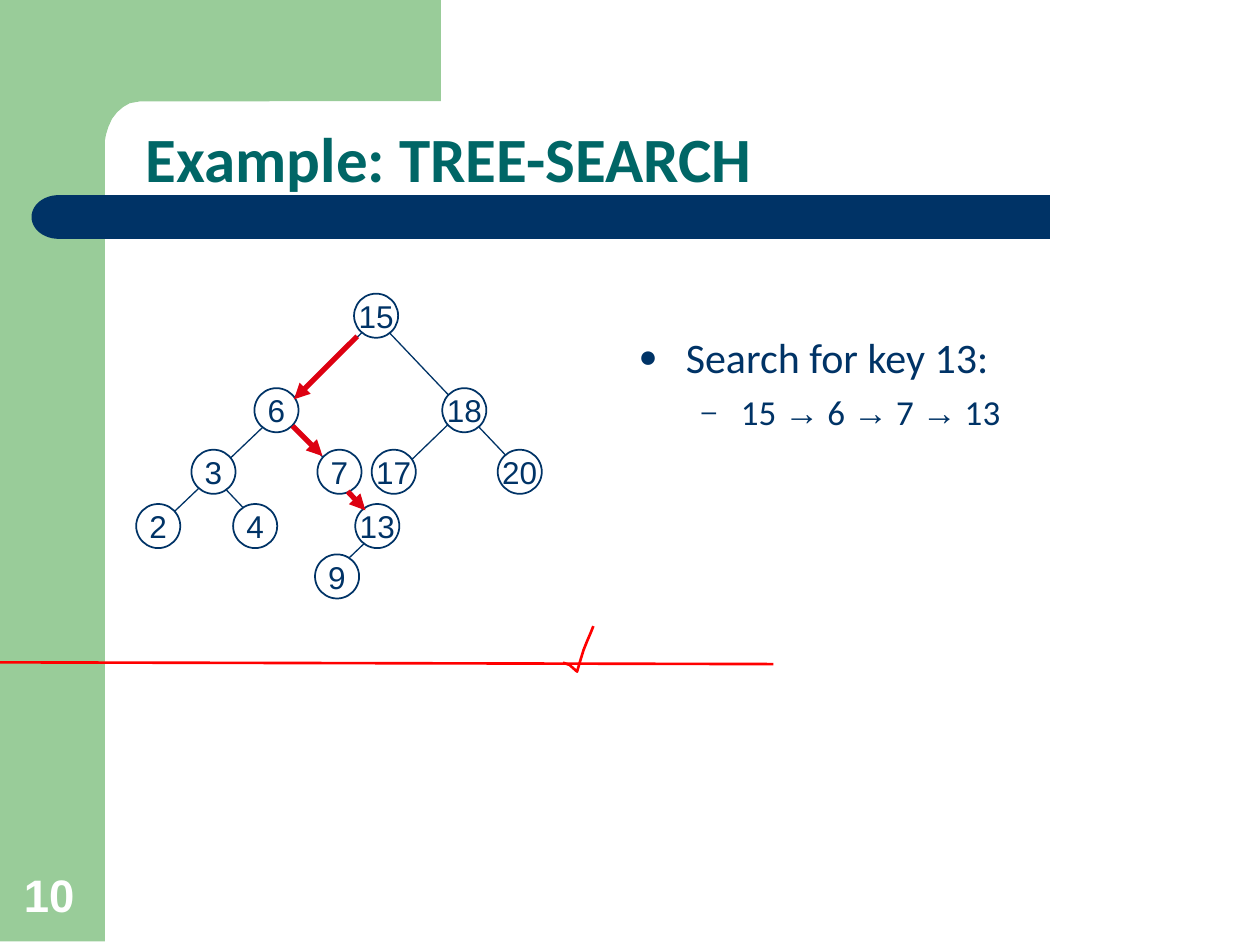
from typing import NamedTuple

from lxml.etree import SubElement
from pptx import Presentation
from pptx.dml.color import RGBColor
from pptx.enum.shapes import MSO_CONNECTOR, MSO_SHAPE
from pptx.enum.text import MSO_ANCHOR, PP_ALIGN
from pptx.oxml.ns import qn
from pptx.util import Pt

NAVY, GREEN, TEAL = "003366", "99CC99", "006666"
WHITE, PATH_RED, INK_RED = "FFFFFF", "DD0111", "FF0000"
DIAMETER = 25.2
ROW_TOPS = (167.8, 221.8, 257, 288, 316.8)


class Node(NamedTuple):
    key: int
    left: float
    row: int


class Edge(NamedTuple):
    x1: float
    y1: float
    x2: float
    y2: float


class Bullet(NamedTuple):
    symbol: str
    level: int
    margin: float
    indent: float
    space: float
    size: float
    words: tuple


NODES = (
    Node(3, 109.4, 2), Node(2, 77.8, 3), Node(4, 133.2, 3), Node(6, 145.4, 1),
    Node(7, 181.4, 2), Node(13, 203, 3), Node(15, 202.3, 0), Node(18, 252.7, 1),
    Node(17, 212.4, 2), Node(20, 284.4, 2), Node(9, 180, 4),
)
BRANCHES = (
    Edge(185.8, 331.9, 218.2, 301), Edge(190.8, 273.6, 221.8, 306),
    Edge(225.4, 272.2, 265.7, 233.3), Edge(151.9, 303.8, 113.8, 263.5),
    Edge(195.1, 272.2, 156.2, 231.8), Edge(303.1, 275, 207.4, 174.2),
    Edge(91.4, 300.2, 217.4, 180),
)
SEARCH_PATH = (
    Edge(204.1, 192.2, 168, 228.2), Edge(167.2, 243.4, 184.3, 260.6),
    Edge(198.7, 280.8, 208.8, 291.6),
)
BULLETS = (
    Bullet("●", 0, 27, -27, 0, 24, (("Search for key 13:", "Calibri"),)),
    Bullet("–", 1, 58.5, -22.5, 5, 20, (
        ("15 ", "Calibri"), ("→", "Arial"), (" 6 ", "Calibri"), ("→", "Arial"),
        (" 7 ", "Calibri"), ("→", "Arial"), (" 13", "Calibri"))),
)
CORNER = (
    (252, -2), (252, 57.8), (83.5, 58), (79.9, 58), (74.2, 59), (70.4, 61.2),
    (67, 64.1), (64, 68), (61.9, 72.7), (60.6, 77), (59.8, 81.4),
    (59.8, 90), (36, 90), (36, -2),
)
CHECK_MARK = (
    (321.8, 378.7), (325.5, 380), (329.8, 383.8), (331.5, 378),
    (333.5, 371.5), (335.5, 366.5), (337.7, 361.4), (339.1, 357.8),
)


def color(value: str) -> RGBColor:
    return RGBColor.from_string(value)


def apply(target, values: dict) -> None:
    for name, value in values.items():
        setattr(target, name, value)


def add_span(para, text: str, tint: str, **values) -> None:
    span = para.add_run()
    span.text = text
    apply(span.font, values)
    span.font.color.rgb = color(tint)


def paint(shape, fill: str) -> None:
    shape.shadow.inherit = False
    shape.fill.solid()
    shape.fill.fore_color.rgb = color(fill)
    shape.line.fill.background()


def outline(shape, tint: str, width: float) -> None:
    shape.line.color.rgb = color(tint)
    shape.line.width = Pt(width)


def add_block(page, kind, left: float, top: float, width: float, height: float,
              fill: str):
    block = page.shapes.add_shape(kind, Pt(left), Pt(top), Pt(width), Pt(height))
    paint(block, fill)
    return block


def add_outline_shape(page, points: tuple, close: bool):
    start, *rest = [(Pt(x), Pt(y)) for x, y in points]
    builder = page.shapes.build_freeform(*start, scale=1.0)
    builder.add_line_segments(rest, close=close)
    return builder.convert_to_shape()


def add_box(page, left: float, top: float, width: float, height: float, anchor):
    box = page.shapes.add_textbox(Pt(left), Pt(top), Pt(width), Pt(height))
    apply(box.text_frame, {"word_wrap": True, "vertical_anchor": anchor})
    return box.text_frame


def add_edge(page, edge: Edge, tint: str, width: float, arrow: bool = False) -> None:
    line = page.shapes.add_connector(
        MSO_CONNECTOR.STRAIGHT, *(Pt(value) for value in edge))
    outline(line, tint, width)
    if arrow:
        SubElement(line.line._get_or_add_ln(), qn("a:tailEnd"), type="triangle")
    SubElement(line._element.spPr, qn("a:effectLst"))


def add_node(page, node: Node) -> None:
    circle = add_block(page, MSO_SHAPE.OVAL, node.left, ROW_TOPS[node.row],
                       DIAMETER, DIAMETER, WHITE)
    outline(circle, NAVY, 1)
    apply(circle.text_frame,
          {"word_wrap": False, "vertical_anchor": MSO_ANCHOR.MIDDLE})
    para = circle.text_frame.paragraphs[0]
    para.alignment = PP_ALIGN.CENTER
    add_span(para, str(node.key), NAVY, size=Pt(18), name="Arial")


def add_bullet(para, bullet: Bullet) -> None:
    properties = para._p.get_or_add_pPr()
    properties.set("marL", str(Pt(bullet.margin)))
    properties.set("indent", str(Pt(bullet.indent)))
    tint = SubElement(properties, qn("a:buClr"))
    SubElement(tint, qn("a:srgbClr"), val=NAVY)
    SubElement(properties, qn("a:buSzPct"), val="75000")
    SubElement(properties, qn("a:buFont"), typeface="Arial")
    SubElement(properties, qn("a:buChar"), char=bullet.symbol)
    apply(para, {"level": bullet.level, "space_before": Pt(bullet.space)})
    for text, name in bullet.words:
        add_span(para, text, NAVY, size=Pt(bullet.size), name=name)


def main() -> None:
    deck = Presentation()
    apply(deck, {"slide_width": Pt(720), "slide_height": Pt(540)})
    page = deck.slides.add_slide(deck.slide_layouts[6])

    add_block(page, MSO_SHAPE.RECTANGLE, 0, -2, 60, 540, GREEN)
    paint(add_outline_shape(page, CORNER, True), GREEN)
    add_block(page, MSO_SHAPE.RECTANGLE, 48, 111.5, 552, 25, NAVY)
    cap = add_block(page, MSO_SHAPE.FLOWCHART_DELAY, 18, 111.5, 31, 25, NAVY)
    cap.rotation = 180

    number = add_box(page, 6.5, 491.8, 46, 38.2, MSO_ANCHOR.BOTTOM)
    add_span(number.paragraphs[0], "10", WHITE,
             size=Pt(26), name="Arial", bold=True)
    title = add_box(page, 76.3, 53.3, 638.6, 62.6, MSO_ANCHOR.BOTTOM)
    title.paragraphs[0].line_spacing = 0.9
    add_span(title.paragraphs[0], "Example: TREE-SEARCH", TEAL,
             size=Pt(36), name="Calibri", bold=True)

    body = add_box(page, 357.8, 185.8, 318.2, 138.2, MSO_ANCHOR.TOP)
    for index, bullet in enumerate(BULLETS):
        add_bullet(body.add_paragraph() if index else body.paragraphs[0], bullet)

    for edge in BRANCHES:
        add_edge(page, edge, NAVY, 0.75)
    for node in NODES:
        add_node(page, node)
    for edge in SEARCH_PATH:
        add_edge(page, edge, PATH_RED, 3, arrow=True)

    add_edge(page, Edge(0, 378.5, 442, 379.5), INK_RED, 1.5)
    check = add_outline_shape(page, CHECK_MARK, False)
    check.shadow.inherit = False
    check.fill.background()
    outline(check, INK_RED, 1.5)
    deck.save("out.pptx")


if __name__ == "__main__":
    main()
